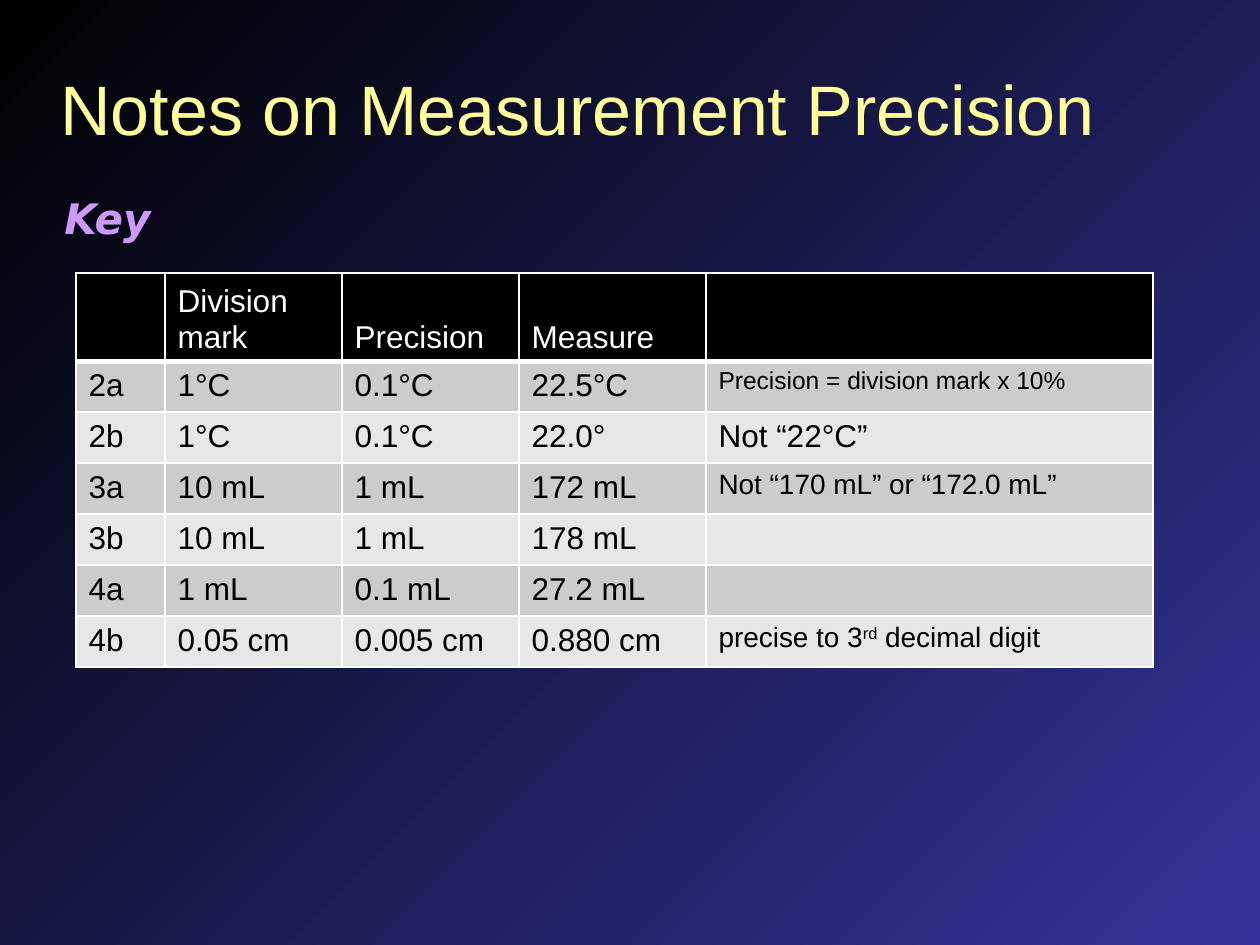
"""Build the measurement precision answer-key slide."""
from dataclasses import dataclass

from lxml.etree import SubElement
from pptx import Presentation
from pptx.dml.color import RGBColor
from pptx.enum.text import MSO_ANCHOR as Anchor
from pptx.oxml.ns import qn
from pptx.util import Emu, Pt

PX = 914400 / 126
COLORS = {
    "night": "000000",
    "indigo": "333399",
    "title": "FFFF99",
    "key": "CC99FF",
    "header": "000000",
    "band": ("CCCCCC", "E7E7E7"),
    "ink": "000000",
    "white": "FFFFFF",
}
COLUMNS = (89, 177, 177, 187, 447)
ROW_HEIGHT = 51
HEADER = ("", "Division mark", "Precision", "Measure", "")
MEASUREMENTS = (
    ("2a", "1°C", "0.1°C", "22.5°C", "Precision = division mark x 10%"),
    ("2b", "1°C", "0.1°C", "22.0°", "Not “22°C”"),
    ("3a", "10 mL", "1 mL", "172 mL", "Not “170 mL” or “172.0 mL”"),
    ("3b", "10 mL", "1 mL", "178 mL", ""),
    ("4a", "1 mL", "0.1 mL", "27.2 mL", ""),
    ("4b", "0.05 cm", "0.005 cm", "0.880 cm", ("precise to 3", "rd", " decimal digit")),
)
NOTE_SIZES = {"2a": 14, "3a": 16, "4b": 16}


def px(length):
    return Emu(round(length * PX))


def write(frame, text, size=18, color="ink", font="Arial", bold=False, italic=False):
    paragraph = frame.paragraphs[0]
    pieces = (text,) if isinstance(text, str) else text
    for index, piece in enumerate(pieces):
        if not piece:
            continue
        run = paragraph.add_run()
        run.text = piece
        run.font.name = font
        run.font.size = Pt(size)
        run.font.bold = bold
        run.font.italic = italic
        run.font.color.rgb = RGBColor.from_string(COLORS[color])
        if index % 2:
            run._r.get_or_add_rPr().set("baseline", "30000")


def set_borders(cell, top, bottom):
    properties = cell._tc.get_or_add_tcPr()
    for side, width in (("L", 1), ("R", 1), ("T", top), ("B", bottom)):
        line = SubElement(properties, qn(f"a:ln{side}"), w=str(Pt(width)))
        fill = SubElement(line, qn("a:solidFill"))
        SubElement(fill, qn("a:srgbClr"), val=COLORS["white"])


@dataclass
class SlideBuilder:
    slide: object

    def background(self, start, end):
        fill = self.slide.background.fill
        fill.gradient()
        fill.gradient_angle = 315
        for stop, name in zip(fill.gradient_stops, (start, end)):
            stop.color.rgb = RGBColor.from_string(COLORS[name])

    def text_box(self, left, top, width, height, text, anchor=Anchor.TOP, **style):
        shape = self.slide.shapes.add_textbox(*map(px, (left, top, width, height)))
        frame = shape.text_frame
        frame.word_wrap = True
        frame.vertical_anchor = anchor
        write(frame, text, **style)

    def cell(self, cell, text, fill, top=1, bottom=1, anchor=Anchor.TOP, **style):
        set_borders(cell, top, bottom)
        cell.fill.solid()
        cell.fill.fore_color.rgb = RGBColor.from_string(fill)
        cell.vertical_anchor = anchor
        write(cell.text_frame, text, **style)

    def table(self, left, top, header, records):
        count = len(records) + 1
        shape = self.slide.shapes.add_table(
            count, len(COLUMNS), px(left), px(top), px(sum(COLUMNS)), px(count * ROW_HEIGHT))
        table = shape.table
        table.first_row = table.horz_banding = False
        for column, width in zip(table.columns, COLUMNS):
            column.width = px(width)
        for row in table.rows:
            row.height = px(ROW_HEIGHT)
        for column, text in enumerate(header):
            self.cell(table.cell(0, column), text, COLORS["header"], bottom=3,
                      anchor=Anchor.BOTTOM, color="white")
        for index, record in enumerate(records):
            for column, text in enumerate(record):
                is_note = column == len(COLUMNS) - 1
                self.cell(table.cell(index + 1, column), text, COLORS["band"][index % 2],
                          top=1 if index else 3,
                          size=NOTE_SIZES.get(record[0], 18) if is_note else 18)


def main():
    presentation = Presentation()
    presentation.slide_width, presentation.slide_height = px(1260), px(945)
    builder = SlideBuilder(presentation.slides.add_slide(presentation.slide_layouts[6]))
    builder.background("night", "indigo")
    builder.text_box(48, 59, 1160, 97, "Notes on Measurement Precision",
                     anchor=Anchor.MIDDLE, size=40, color="title")
    builder.text_box(52, 186, 1155, 716, "Key", size=24, color="key",
                     font="DejaVu Sans", bold=True, italic=True)
    builder.table(76, 273, HEADER, MEASUREMENTS)
    presentation.save("out.pptx")


if __name__ == "__main__":
    main()
